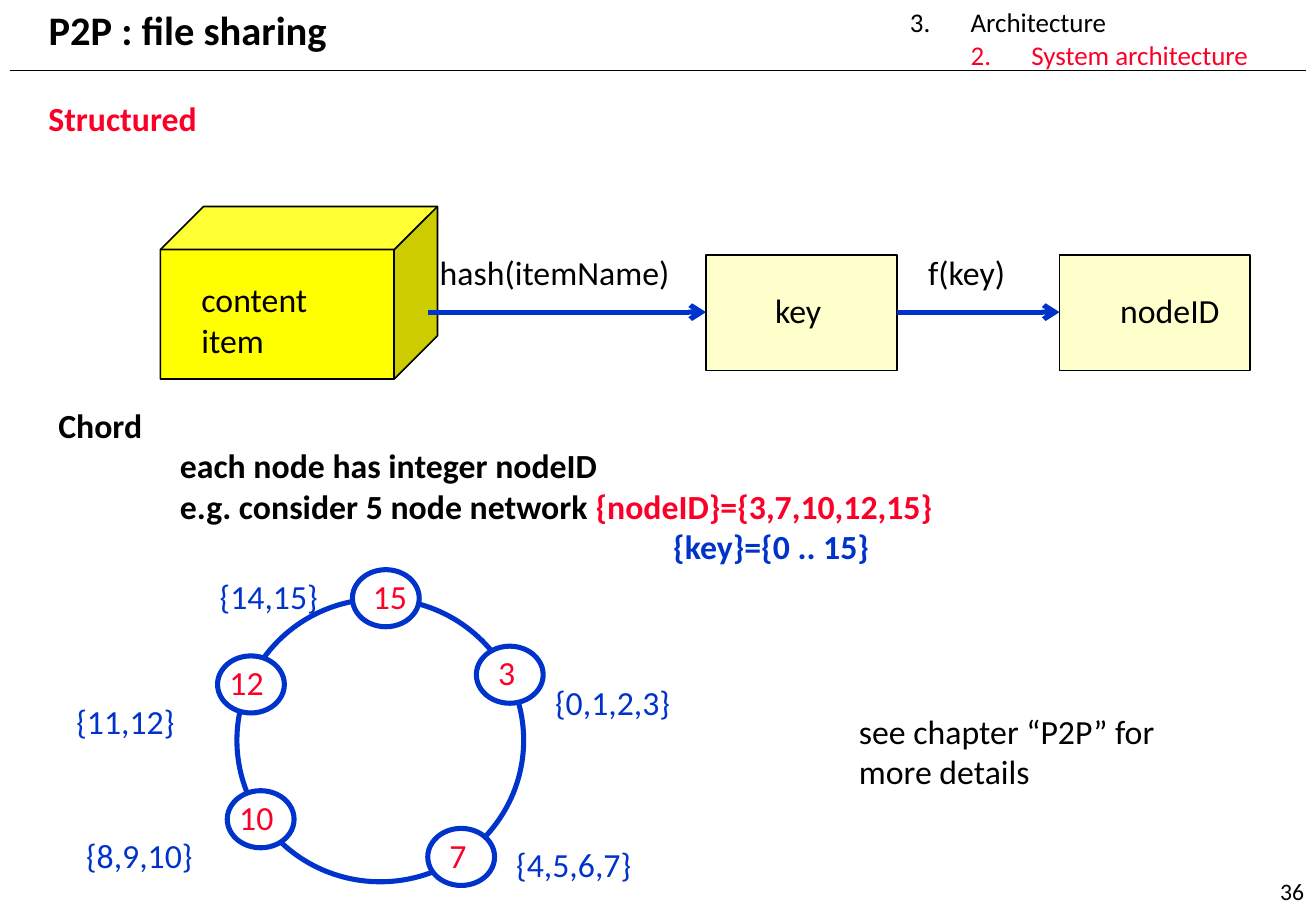
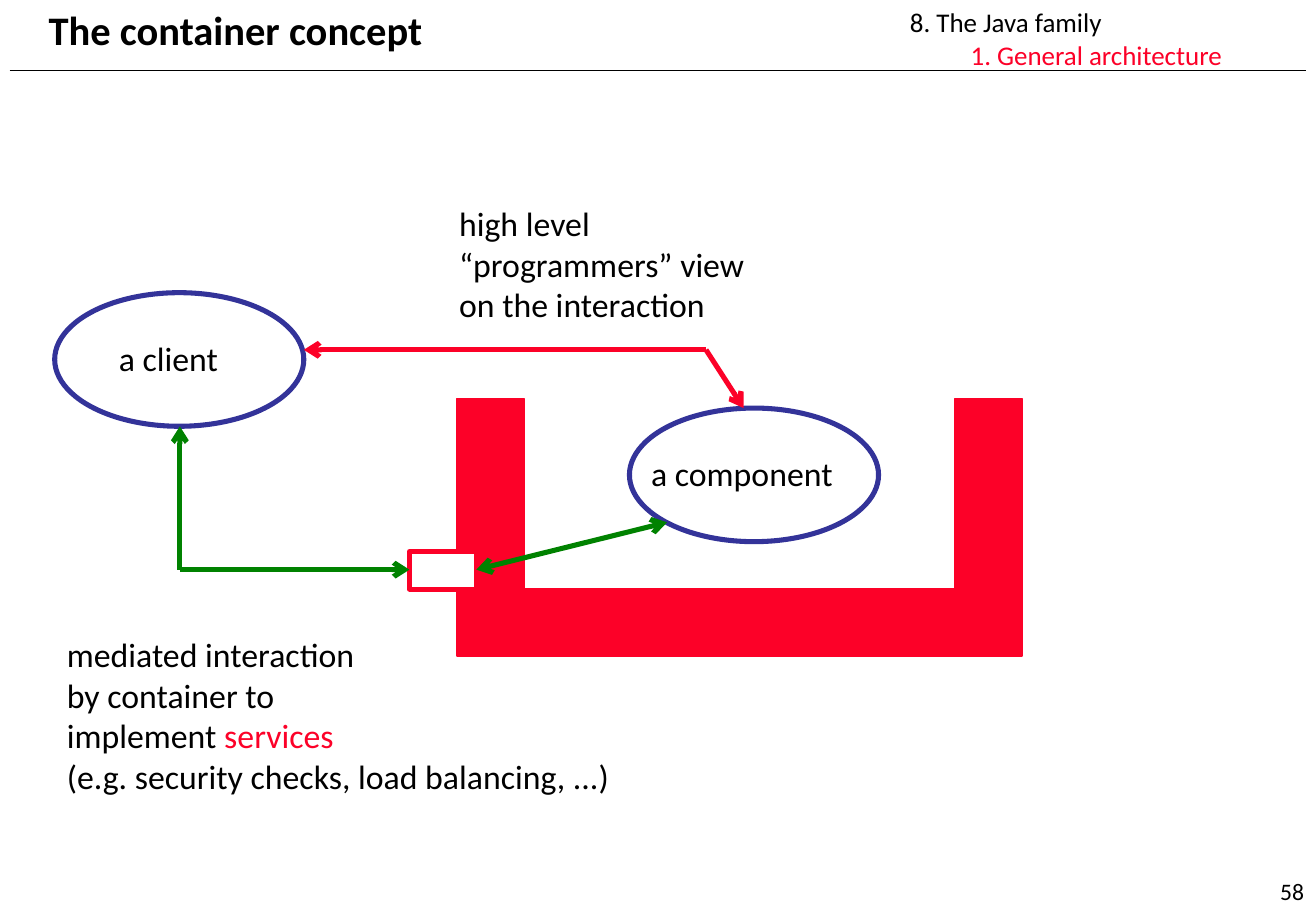
from lxml import etree
from pptx import Presentation, util as u
from pptx.dml.color import RGBColor
from pptx.enum import shapes, text
from pptx.oxml.ns import qn

BLACK, WHITE, RED, BLUE = "000000", "FFFFFF", "FC0128", "0033CC"
NAVY, GREEN, YELLOW, CREAM = "333399", "008200", "FFFF00", "FFFFCC"
FONT = "Calibri"
SHAPE = shapes.MSO_SHAPE
WIDTH, HEIGHT = 10.83, 7.5


def rgb(value):
    return RGBColor.from_string(value)


def write(frame, paragraphs, size=20, color=BLACK, bold=False, indents=(),
          align=text.PP_ALIGN.LEFT, anchor=text.MSO_ANCHOR.TOP):
    """Fill a frame; a paragraph is a string or a list of (text, colour) runs,
    and indents holds one (left, first line) pair per paragraph."""
    frame.word_wrap = True
    frame.auto_size = text.MSO_AUTO_SIZE.NONE
    frame.vertical_anchor = anchor
    for i, content in enumerate(paragraphs):
        para = frame.paragraphs[0] if i == 0 else frame.add_paragraph()
        para.alignment = align
        para.space_before = u.Pt(0)
        left, first = indents[i] if indents else (0, 0)
        props = para._p.get_or_add_pPr()
        props.set("marL", str(u.Inches(left)))
        props.set("indent", str(u.Inches(first)))
        etree.SubElement(props, qn("a:buNone"))
        runs = [(content, color)] if isinstance(content, str) else content
        for words, run_color in runs:
            run = para.add_run()
            run.text = words
            run.font.name, run.font.size, run.font.bold = FONT, u.Pt(size), bold
            run.font.color.rgb = rgb(run_color)


def place(holder, x, y, w, h):
    holder.left, holder.top = u.Inches(x), u.Inches(y)
    holder.width, holder.height = u.Inches(w), u.Inches(h)
    return holder.text_frame


class Region:
    """Part of a slide whose contents are measured from its own corner."""

    def __init__(self, slide, x=0, y=0):
        self.slide, self.x, self.y = slide, x, y

    def point(self, x, y):
        return u.Inches(self.x + x), u.Inches(self.y + y)

    def shape(self, kind, x, y, w, h, fill=None, line=BLACK, weight=1):
        shape = self.slide.shapes.add_shape(
            kind, *self.point(x, y), u.Inches(w), u.Inches(h))
        shape.shadow.inherit = False
        if fill:
            shape.fill.solid()
            shape.fill.fore_color.rgb = rgb(fill)
        else:
            shape.fill.background()
        shape.line.color.rgb = rgb(line)
        shape.line.width = u.Pt(weight)

    def line(self, start, end, color=BLACK, weight=3, head=False, tail=False):
        line = self.slide.shapes.add_connector(
            shapes.MSO_CONNECTOR.STRAIGHT, *self.point(*start), *self.point(*end))
        line.line.color.rgb = rgb(color)
        line.line.width = u.Pt(weight)
        for tag, wanted in (("a:headEnd", head), ("a:tailEnd", tail)):
            if wanted:
                etree.SubElement(line.line._get_or_add_ln(), qn(tag), type="arrow")
        etree.SubElement(line._element.spPr, qn("a:effectLst"))
        return line

    def label(self, paragraphs, x, y, w, h=0.44, **style):
        box = self.slide.shapes.add_textbox(
            *self.point(x, y), u.Inches(w), u.Inches(h))
        if isinstance(paragraphs, str):
            paragraphs = [paragraphs]
        write(box.text_frame, paragraphs, **style)


def new_slide(prs, title, number, outline, outline_indents):
    """Add a slide with its title, chapter outline and page number."""
    slide = prs.slides.add_slide(prs.slide_layouts[1])
    write(place(slide.shapes.title, 0.3, -0.01, 6.5, 0.5), [title],
          size=24, bold=True)
    page = Region(slide)
    chapter, section = outline
    page.label([chapter, [(section, RED)]], 7.39, 0, 3.3, 0.64,
               size=16, indents=outline_indents)
    page.label(number, WIDTH - 2.08, HEIGHT - 0.5, 2.08, 0.5, size=14,
               align=text.PP_ALIGN.RIGHT, anchor=text.MSO_ANCHOR.BOTTOM)
    return slide


def add_title_rule(slide):
    """Put the line below the title on the layout, for all slides."""
    rule = Region(slide).line((0.08, 0.58), (10.75, 0.58), weight=1)
    slide.slide_layout.shapes.element.append(rule._element)


def lookup_flow(slide, x, y):
    """Content item -> key -> nodeID."""
    flow = Region(slide, x, y)
    axis, box_w, key_x, node_x = 0.87, 1.57, 4.49, 7.4
    flow.shape(SHAPE.CUBE, 0, 0, 2.28, 1.42, YELLOW)
    flow.label(["content", "item"], 0.24, 0.55, 1.3, 0.77)
    for name, box_x, inset in (("key", key_x, 0.47), ("nodeID", node_x, 0.4)):
        flow.shape(SHAPE.RECTANGLE, box_x, 0.4, box_w, 0.95, CREAM)
        flow.label(name, box_x + inset, 0.64, 1.1)
    for name, name_x, start, end in (("hash(itemName)", 2.2, 2.2, key_x),
                                     ("f(key)", 6.22, key_x + box_w, node_x)):
        flow.label(name, name_x, 0.32, 2.2)
        flow.line((start, axis), (end, axis), BLUE, tail=True)


def chord_ring(slide, x, y):
    """Five nodes on a ring, each with the keys it holds."""
    ring = Region(slide, x, y)
    ring.shape(SHAPE.OVAL, 1.42, 0.24, 2.36, 2.33, line=BLUE, weight=3)
    # node, its corner, shift of its number, keys, their corner
    nodes = [("3", 3.39, 0.63, 0.08, "{0,1,2,3}", 3.94, 0.87),
             ("7", 2.99, 2.13, 0.08, "{4,5,6,7}", 3.62, 2.21),
             ("10", 1.34, 1.82, 0, "{8,9,10}", 0.08, 2.13),
             ("12", 1.26, 0.71, 0, "{11,12}", 0, 1.03),
             ("15", 2.37, 0, 0.07, "{14,15}", 1.18, 0)]
    for node, node_x, node_y, shift, keys, keys_x, keys_y in nodes:
        ring.shape(SHAPE.OVAL, node_x, node_y, 0.55, 0.47, WHITE, BLUE, 3)
        ring.label(node, node_x + shift, node_y, 0.55, color=RED)
        ring.label(keys, keys_x, keys_y, 1.25, color=BLUE)


def container_view(slide, x, y):
    """Client and component, linked directly and through the container."""
    view = Region(slide, x, y)
    # container walls
    tray_x, tray_y, tray_w, wall = 3.31, 1.66, 4.65, 0.55
    for part in ((tray_x, tray_y + 1.57, tray_w, wall),
                 (tray_x, tray_y, wall, 1.65),
                 (tray_x + tray_w - wall, tray_y, wall, 1.65)):
        view.shape(SHAPE.RECTANGLE, *part, fill=RED, line=RED)
    # client and component
    for name, party_x, party_y, inset in (("a component", 4.73, 1.74, 0.08),
                                          ("a client", 0, 0.79, 0.43)):
        view.shape(SHAPE.OVAL, party_x, party_y, 2.05, 1.1, line=NAVY, weight=3)
        view.label(name, party_x + inset, party_y + 0.32, 1.8)
    # direct interaction
    bend = (5.36, 1.26)
    view.line((2.05, 1.26), bend, RED, head=True)
    view.line(bend, (5.67, 1.74), RED, tail=True)
    view.label(["high level", "“programmers” view", "on the interaction"],
               3.23, 0, 2.8, 1.11)
    # mediated interaction through the gate
    corner, gate_x, gate_w = (1.03, 3.07), 2.92, 0.55
    view.line((1.03, 1.89), corner, GREEN, head=True)
    view.shape(SHAPE.RECTANGLE, gate_x, 2.92, gate_w, 0.31, WHITE, RED, 3)
    view.line(corner, (gate_x, 3.07), GREEN, tail=True)
    view.line((gate_x + gate_w, 3.07), (5.04, 2.68), GREEN, head=True, tail=True)


def sharing_slide(prs):
    slide = new_slide(prs, "P2P : file sharing", "36",
                      ("3.\tArchitecture", "2.\tSystem architecture"),
                      [(0.5, -0.5), (1, -0.5)])
    page = Region(slide)
    page.label("Structured", 0.3, 0.76, 1.8, color=RED, bold=True)
    lookup_flow(slide, 1.32, 1.7)
    write(place(slide.placeholders[1], 0.38, 3.28, 8, 1.45),
          ["Chord", "each node has integer nodeID",
           [("e.g. consider 5 node network ", BLACK),
            ("{nodeID}={3,7,10,12,15}", RED)],
           [("{key}={0 .. 15}", BLUE)]],
          bold=True, indents=[(0, 0), (1, 0), (1, 0), (5.06, 0)])
    chord_ring(slide, 0.53, 4.69)
    page.label(["see chapter “P2P” for", "more details"], 6.97, 5.8, 2.9, 0.77)
    return slide


def container_slide(prs):
    slide = new_slide(prs, "The container concept", "58",
                      ("8. The Java family", "1. General architecture"),
                      [(0, 0), (0.5, 0)])
    container_view(slide, 0.45, 1.62)
    write(place(slide.placeholders[1], 0.45, 5.17, 5, 1.45),
          ["mediated interaction", "by container to",
           [("implement ", BLACK), ("services", RED)],
           "(e.g. security checks, load balancing, ...)"])


def main():
    prs = Presentation()
    prs.slide_width, prs.slide_height = u.Inches(WIDTH), u.Inches(HEIGHT)
    add_title_rule(sharing_slide(prs))
    container_slide(prs)
    prs.save("out.pptx")


if __name__ == "__main__":
    main()
